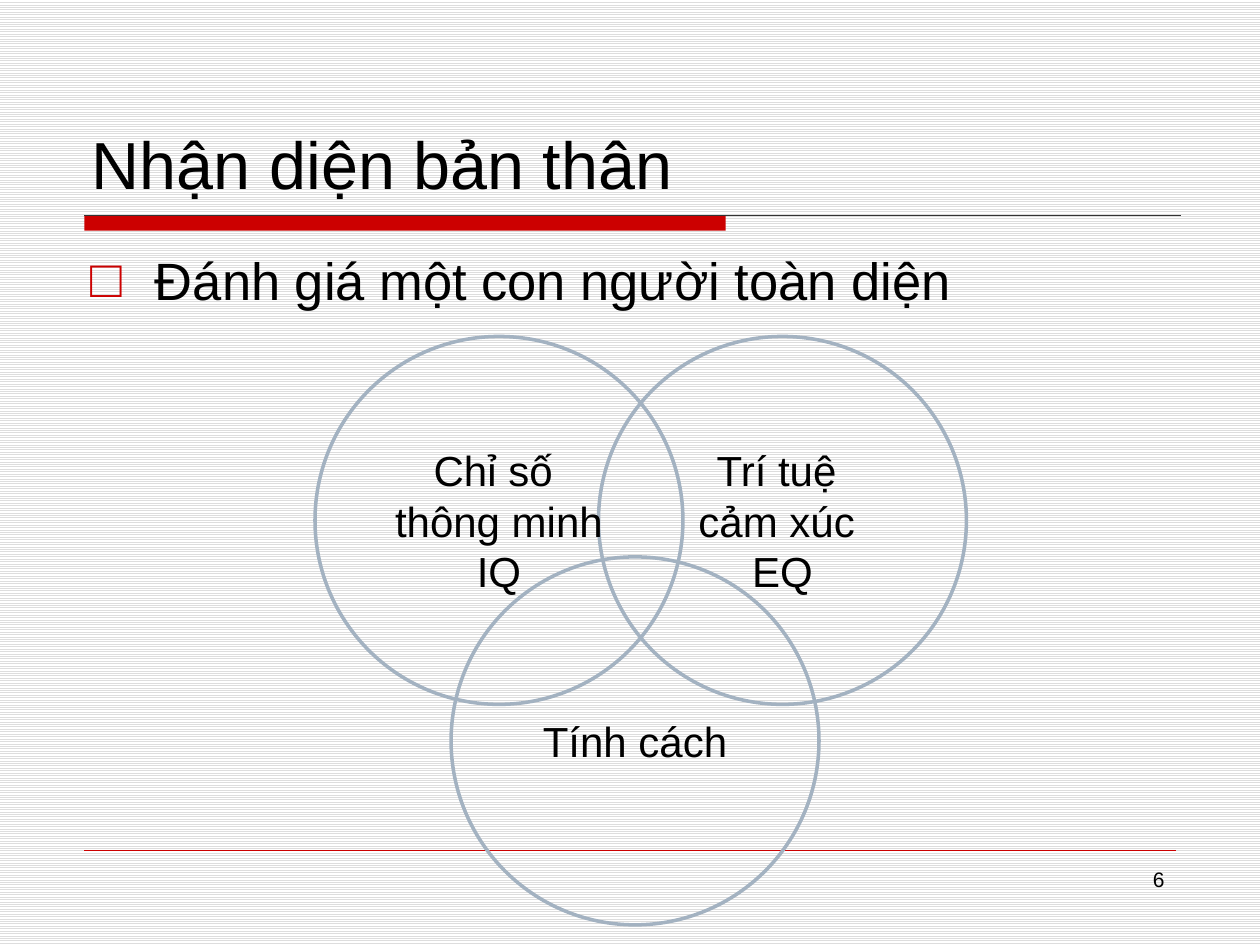
from lxml import etree
from pptx import Presentation
from pptx.dml.color import RGBColor
from pptx.enum.dml import MSO_PATTERN
from pptx.enum.shapes import MSO_CONNECTOR, MSO_SHAPE
from pptx.enum.text import MSO_ANCHOR, MSO_AUTO_SIZE, PP_ALIGN
from pptx.oxml.ns import qn
from pptx.util import Inches, Pt

LIGHT_HORIZONTAL = MSO_PATTERN.LIGHT_HORIZONTAL
STRAIGHT = MSO_CONNECTOR.STRAIGHT
OVAL, RECTANGLE = MSO_SHAPE.OVAL, MSO_SHAPE.RECTANGLE
TOP, MIDDLE, BOTTOM = MSO_ANCHOR.TOP, MSO_ANCHOR.MIDDLE, MSO_ANCHOR.BOTTOM
LEFT, CENTER, RIGHT = PP_ALIGN.LEFT, PP_ALIGN.CENTER, PP_ALIGN.RIGHT

COLORS = {
    name: RGBColor.from_string(value)
    for name, value in {
        "text": "000000", "accent": "CC0000", "rule": "333333",
        "circle": "A3B2C1", "stripe": "DDDDDD", "paper": "FFFFFF",
    }.items()
}

prs = Presentation()
prs.slide_width, prs.slide_height = Inches(10), Inches(7.5)
slide = prs.slides.add_slide(prs.slide_layouts[1])
shapes = slide.shapes


def write(shape, lines, size, align, anchor):
    frame = shape.text_frame
    frame.text = "\n".join(lines)
    frame_format = {"word_wrap": True, "auto_size": MSO_AUTO_SIZE.NONE,
                    "vertical_anchor": anchor}
    for key, value in frame_format.items():
        setattr(frame, key, value)
    for paragraph in frame.paragraphs:
        paragraph.alignment = align
        for run in paragraph.runs:
            run.font.name, run.font.size = "Arial", Pt(size)
            run.font.color.rgb = COLORS["text"]


def add_rule(left, right, y, color, width):
    rule = shapes.add_connector(STRAIGHT, Inches(left), Inches(y), Inches(right), Inches(y))
    rule.line.color.rgb, rule.line.width = COLORS[color], Pt(width)
    etree.SubElement(rule._element.spPr, qn("a:effectLst"))


# Striped background
background = slide.background.fill
background.patterned()
background.pattern = LIGHT_HORIZONTAL
background.fore_color.rgb = COLORS["stripe"]
background.back_color.rgb = COLORS["paper"]

# Title bar and rules
title_bar = shapes.add_shape(RECTANGLE, Inches(0.67), Inches(1.71), Inches(5.09), Inches(0.12))
title_bar.shadow.inherit = False
title_bar.fill.solid()
title_bar.fill.fore_color.rgb = COLORS["accent"]
title_bar.line.fill.background()
add_rule(0.67, 9.37, 1.71, "rule", 0.75)
add_rule(0.67, 9.33, 6.75, "accent", 0.25)

# Title, list and page number
title, body = shapes.title, slide.placeholders[1]
page_number = shapes.add_textbox(0, 0, 0, 0)
texts = [
    (title, (0.63, 0.33, 8.75, 1.33), "Nhận diện bản thân", 38, LEFT, BOTTOM),
    (body, (0.62, 1.92, 8.75, 4.67), "Đánh giá một con người toàn diện", 30, LEFT, TOP),
    (page_number, (7.17, 6.83, 2.17, 0.52), "6", 12, RIGHT, TOP),
]
for holder, box, text, size, align, anchor in texts:
    for side, length in zip(("left", "top", "width", "height"), box):
        setattr(holder, side, Inches(length))
    write(holder, [text], size, align, anchor)

# Hollow square bullet
list_format = body.text_frame.paragraphs[0]._p.get_or_add_pPr()
list_format.set("marL", str(Inches(0.51)))
list_format.set("indent", str(-Inches(0.51)))
bullet_color = etree.SubElement(list_format, qn("a:buClr"))
etree.SubElement(bullet_color, qn("a:srgbClr"), val=str(COLORS["accent"]))
etree.SubElement(list_format, qn("a:buFont"), typeface="Arial")
etree.SubElement(list_format, qn("a:buChar"), char="□")

# Three overlapping circles
DIAMETER = Inches(2.92)
circles = [
    (4.75, 2.67, ["Trí tuệ ", "cảm xúc ", "EQ"]),
    (2.5, 2.67, ["Chỉ số ", "thông minh IQ"]),
    (3.58, 4.42, ["Tính cách"]),
]
for left, top, lines in circles:
    circle = shapes.add_shape(OVAL, Inches(left), Inches(top), DIAMETER, DIAMETER)
    circle.shadow.inherit = False
    circle.fill.background()
    circle.line.color.rgb, circle.line.width = COLORS["circle"], Pt(2)
    write(circle, lines, 24, CENTER, MIDDLE)

prs.save("out.pptx")
